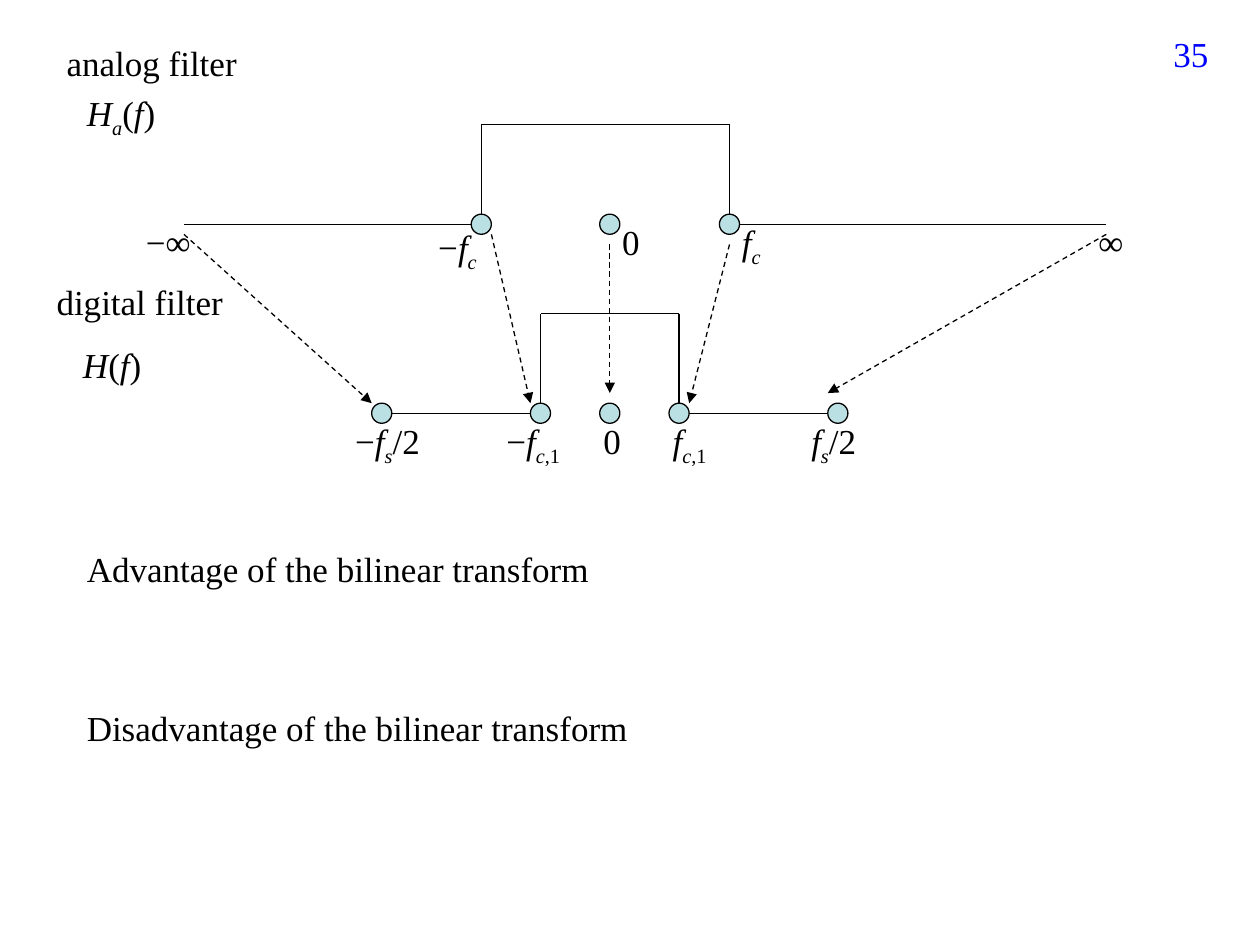
from itertools import pairwise

from lxml import etree
from pptx import Presentation
from pptx.dml.color import RGBColor
from pptx.enum.dml import MSO_LINE
from pptx.enum.shapes import MSO_CONNECTOR, MSO_SHAPE
from pptx.enum.text import PP_ALIGN
from pptx.oxml.ns import qn
from pptx.util import Inches, Pt

BLACK = RGBColor(0, 0, 0)
BLUE = RGBColor(0, 0, 255)
TEAL = RGBColor(0xBB, 0xE0, 0xE3)
OVAL = MSO_SHAPE.OVAL
LINE = MSO_CONNECTOR.STRAIGHT
DASH = MSO_LINE.DASH
LEFT = PP_ALIGN.LEFT
RIGHT = PP_ALIGN.RIGHT
FONT = "Times New Roman"
DOT = 0.16

TOP_Y, TOP_ROOF = 1.78, 0.99
LOW_Y, LOW_ROOF = 3.28, 2.49
MID = 4.84
TOP_X = [1.46, 3.82, 5.79, 8.78]
LOW_X = [3.03, 4.29, 5.39, 6.65]

# Run marks: * italic, _ italic subscript, ~ upright subscript
HEADS = [
    (0.43, 0.28, 1.73, ["analog filter"]),
    (0.59, 0.68, 0.75, ["*H", "_a", "(", "*f", ")"]),
    (0.59, 4.3, 4.65, ["Advantage of the bilinear transform"]),
    (0.59, 5.56, 4.65, ["Disadvantage of the bilinear transform"]),
]
TICKS = [
    (1.06, 1.7, 0.63, ["−∞"]),
    (3.38, 1.74, 0.63, ["−", "*f", "_c"]),
    (4.84, 1.7, 0.63, ["0"]),
    (5.79, 1.7, 0.63, ["*f", "_c"]),
    (8.62, 1.7, 0.63, ["∞"]),
    (2.72, LOW_Y, 1.02, ["−", "*f", "_s", "/2"]),
    (3.92, LOW_Y, 0.79, ["−", "*f", "_c", "~,1"]),
    (4.69, LOW_Y, 0.63, ["0"]),
    (5.24, LOW_Y, 0.63, ["*f", "_c", "~,1"]),
    (6.34, LOW_Y, 1.02, ["*f", "_s", "/2"]),
]
ARROWS = [
    ((1.46, 1.86), (2.95, 3.2)),
    ((3.9, 1.86), (4.21, 3.2)),
    ((MID, 1.94), (MID, 3.12)),
    ((5.79, 1.94), (5.47, 3.2)),
    ((8.78, 1.86), (6.57, 3.12)),
]


def fill_par(par, runs, color=BLACK, align=LEFT):
    par.alignment = align
    par.font.name = FONT
    par.font.size = Pt(20)
    par.font.color.rgb = color
    for mark in runs:
        run = par.add_run()
        run.text = mark.lstrip("*_~")
        if mark[0] in "*_":
            run.font.italic = True
        if mark[0] in "_~":
            run._r.get_or_add_rPr().set("baseline", "-25000")


def add_text(slide, left, top, width, runs, color=BLACK, align=LEFT):
    box = slide.shapes.add_textbox(
        Inches(left), Inches(top), Inches(width), Inches(0.43))
    frame = box.text_frame
    frame.word_wrap = True
    fill_par(frame.paragraphs[0], runs, color, align)
    return frame


def add_line(slide, start, end):
    line = slide.shapes.add_connector(
        LINE, *(Inches(n) for n in (*start, *end)))
    line.line.color.rgb = BLACK
    line.line.width = Pt(0.75)
    etree.SubElement(line._element.spPr, qn("a:effectLst"))
    return line


def add_arrow(slide, start, end):
    line = add_line(slide, start, end).line
    line.dash_style = DASH
    etree.SubElement(line._get_or_add_ln(), qn("a:tailEnd"), type="triangle")


def add_dot(slide, x, y):
    dot = slide.shapes.add_shape(
        OVAL, Inches(x - DOT / 2), Inches(y - DOT / 2),
        Inches(DOT), Inches(DOT))
    dot.shadow.inherit = False
    dot.fill.solid()
    dot.fill.fore_color.rgb = TEAL
    dot.line.color.rgb = BLACK
    dot.line.width = Pt(0.75)


def add_band(slide, marks, base, roof):
    start, low, high, end = marks
    points = [(start, base), (low, base), (low, roof),
              (high, roof), (high, base), (end, base)]
    for pair in pairwise(points):
        add_line(slide, *pair)


def main():
    deck = Presentation()
    deck.slide_width, deck.slide_height = Inches(10), Inches(7.5)
    slide = deck.slides.add_slide(deck.slide_layouts[6])

    add_band(slide, TOP_X, TOP_Y, TOP_ROOF)
    add_band(slide, LOW_X, LOW_Y, LOW_ROOF)
    for start, end in ARROWS:
        add_arrow(slide, start, end)
    for x in [*TOP_X[1:3], MID]:
        add_dot(slide, x, TOP_Y)
    for x in [*LOW_X, MID]:
        add_dot(slide, x, LOW_Y)

    for item in HEADS + TICKS:
        add_text(slide, *item)
    add_text(slide, 7.36, 0.21, 2.33, ["35"], BLUE, RIGHT)

    frame = add_text(slide, 0.35, 2.18, 1.65, ["digital filter"])
    par = frame.add_paragraph()
    par._p.get_or_add_pPr().set("marL", str(Inches(0.21)))
    par.space_before = Pt(11.5)
    fill_par(par, ["*H", "(", "*f", ")"])

    deck.save("out.pptx")


if __name__ == "__main__":
    main()
